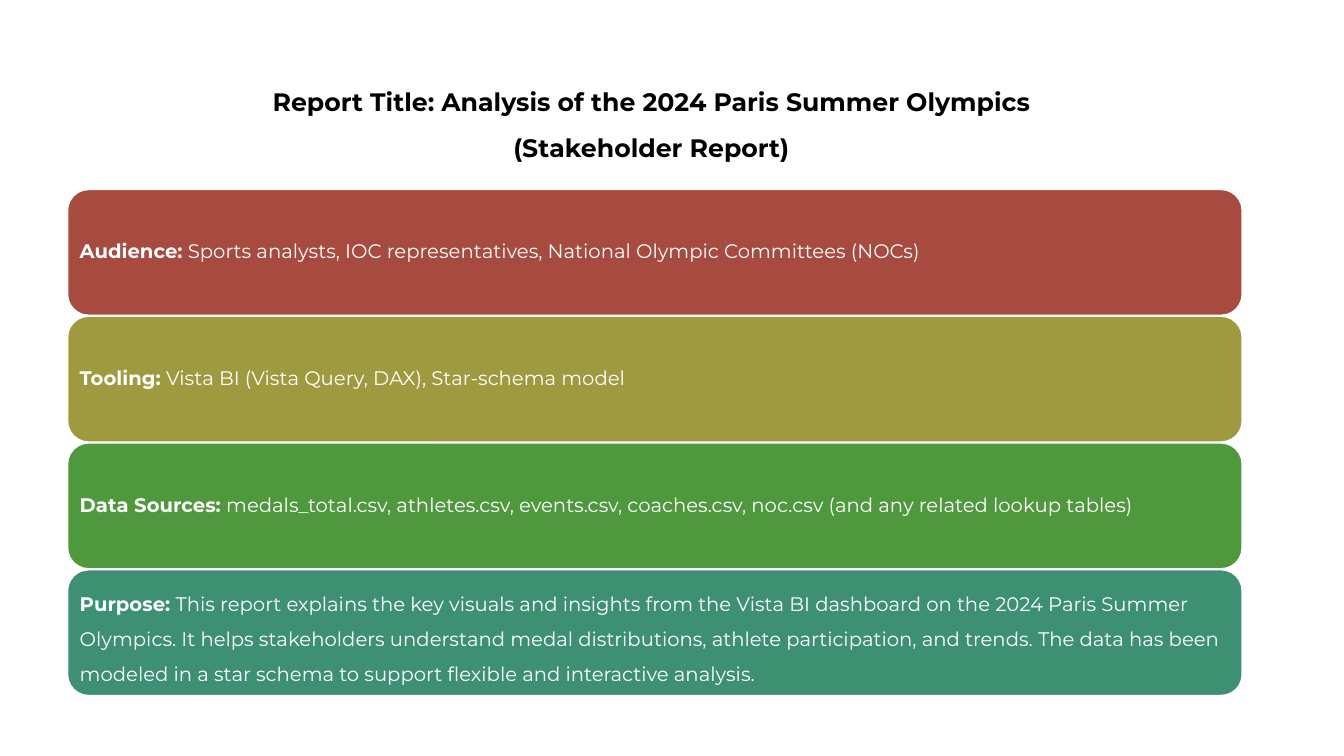
from dataclasses import dataclass

from pptx import Presentation
from pptx.dml.color import RGBColor
from pptx.enum.shapes import MSO_SHAPE
from pptx.enum.text import MSO_ANCHOR, MSO_AUTO_SIZE, PP_ALIGN
from pptx.util import Inches, Pt

ROUNDED = MSO_SHAPE.ROUNDED_RECTANGLE
MIDDLE = MSO_ANCHOR.MIDDLE
NO_FIT = MSO_AUTO_SIZE.NONE
LEFT, CENTER = PP_ALIGN.LEFT, PP_ALIGN.CENTER
TITLE_ONLY = 5


@dataclass(frozen=True)
class Theme:
    font: str = "Montserrat"
    title_size: int = 18
    body_size: int = 14
    ink: str = "000000"
    paper: str = "FFFFFF"
    bands: tuple = ("A74B40", "9F9A3F", "50983E", "3D9072")


THEME = Theme()
SLIDE_WIDTH, SLIDE_HEIGHT = 13.33, 7.5
MARGIN, CONTENT_WIDTH = 0.67, 11.65
TITLE_BOX = (MARGIN, 0.6, CONTENT_WIDTH, 1.12)
BANDS_BOX = (MARGIN, 1.88, CONTENT_WIDTH, 5.02)
BAND_GAP = 0.01
BAND_INSET = 0.06

HEADING = "Report Title: Analysis of the 2024 Paris Summer Olympics \n(Stakeholder Report) "
FACTS = [
    ("Audience:", " Sports analysts, IOC representatives, National Olympic Committees (NOCs)", 0.9),
    ("Tooling:", " Vista BI (Vista Query, DAX), Star-schema model", 0.9),
    ("Data Sources:", " medals_total.csv, athletes.csv, events.csv, coaches.csv, noc.csv "
     "(and any related lookup tables)", 0.9),
    ("Purpose:", " This report explains the key visuals and insights from the Vista BI dashboard "
     "on the 2024 Paris Summer Olympics. It helps stakeholders understand medal distributions, "
     "athlete participation, and trends. The data has been modeled in a star schema to support "
     "flexible and interactive analysis.", 1.5),
]


def write_text(shape, bold, regular="", *, size, color, align=LEFT,
               line_spacing=1.0, space_after=0, inset=None):
    frame = shape.text_frame
    frame.word_wrap = True
    frame.auto_size = NO_FIT
    frame.vertical_anchor = MIDDLE
    if inset is not None:
        frame.margin_left = frame.margin_right = Inches(inset)
        frame.margin_top = frame.margin_bottom = Inches(inset)
    paragraph = frame.paragraphs[0]
    paragraph.alignment = align
    paragraph.line_spacing = line_spacing
    paragraph.space_after = Pt(space_after)
    for words, is_bold in ((bold, True), (regular, False)):
        for index, line in enumerate(words.split("\n") if words else []):
            if index:
                paragraph.add_line_break()
            run = paragraph.add_run()
            run.text = line
            run.font.name = THEME.font
            run.font.size = Pt(size)
            run.font.bold = is_bold
            run.font.color.rgb = RGBColor.from_string(color)


def place_title(slide, box):
    title = slide.shapes.title
    title.left, title.top, title.width, title.height = map(Inches, box)
    write_text(title, HEADING, size=THEME.title_size, color=THEME.ink,
               align=CENTER, line_spacing=1.5)


def add_bands(slide, box):
    left, top, width, height = box
    pitch = (height + BAND_GAP) / len(FACTS)
    for row, ((label, detail, spacing), color) in enumerate(zip(FACTS, THEME.bands)):
        band = slide.shapes.add_shape(ROUNDED, Inches(left), Inches(top + row * pitch),
                                      Inches(width), Inches(pitch - BAND_GAP))
        band.shadow.inherit = False
        band.fill.solid()
        band.fill.fore_color.rgb = RGBColor.from_string(color)
        band.line.color.rgb = RGBColor.from_string(THEME.paper)
        band.line.width = Pt(1)
        write_text(band, label, detail, size=THEME.body_size, color=THEME.paper,
                   line_spacing=spacing, space_after=5, inset=BAND_INSET)


def main():
    deck = Presentation()
    deck.slide_width = Inches(SLIDE_WIDTH)
    deck.slide_height = Inches(SLIDE_HEIGHT)
    slide = deck.slides.add_slide(deck.slide_layouts[TITLE_ONLY])
    place_title(slide, TITLE_BOX)
    add_bands(slide, BANDS_BOX)
    deck.save("out.pptx")


if __name__ == "__main__":
    main()
